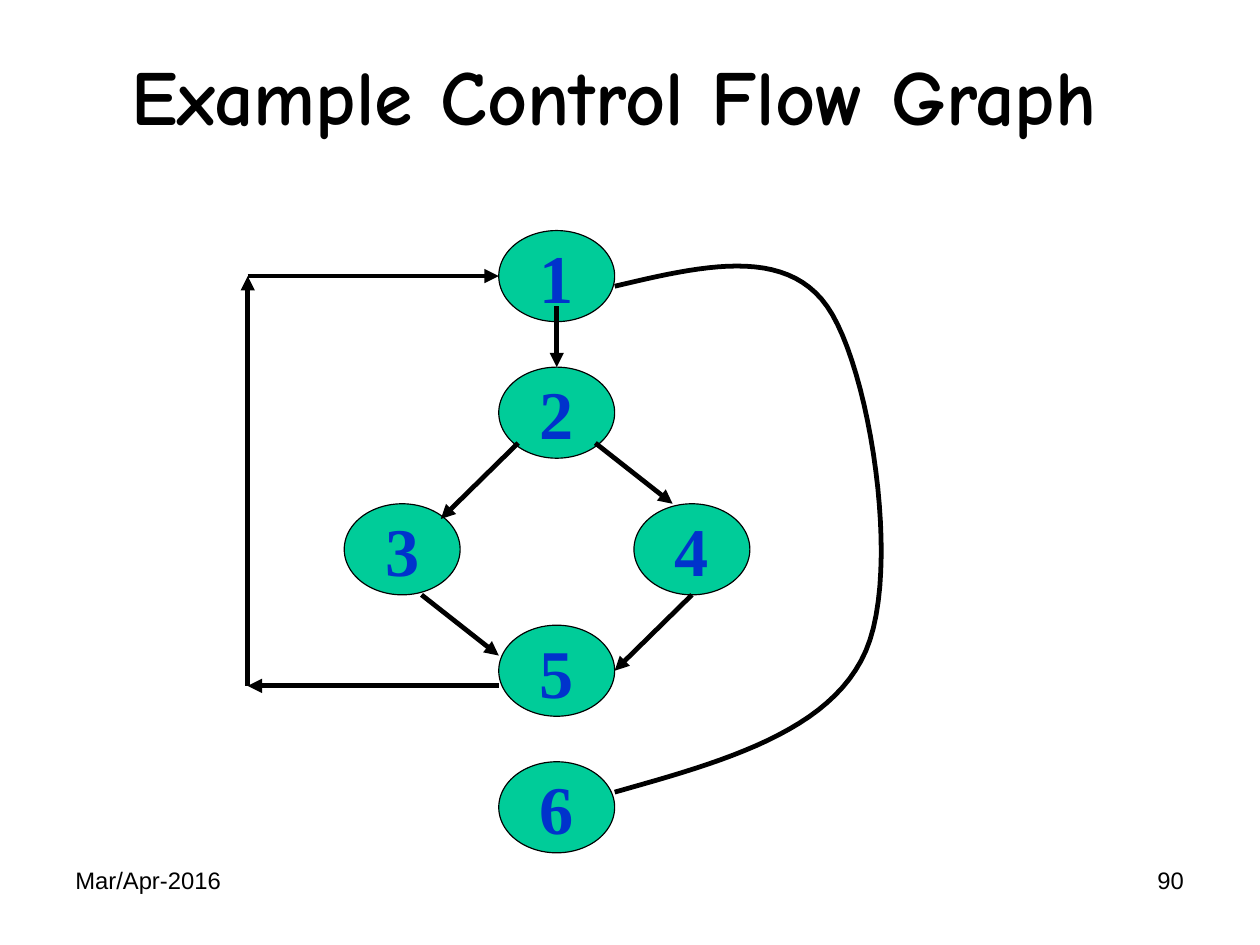
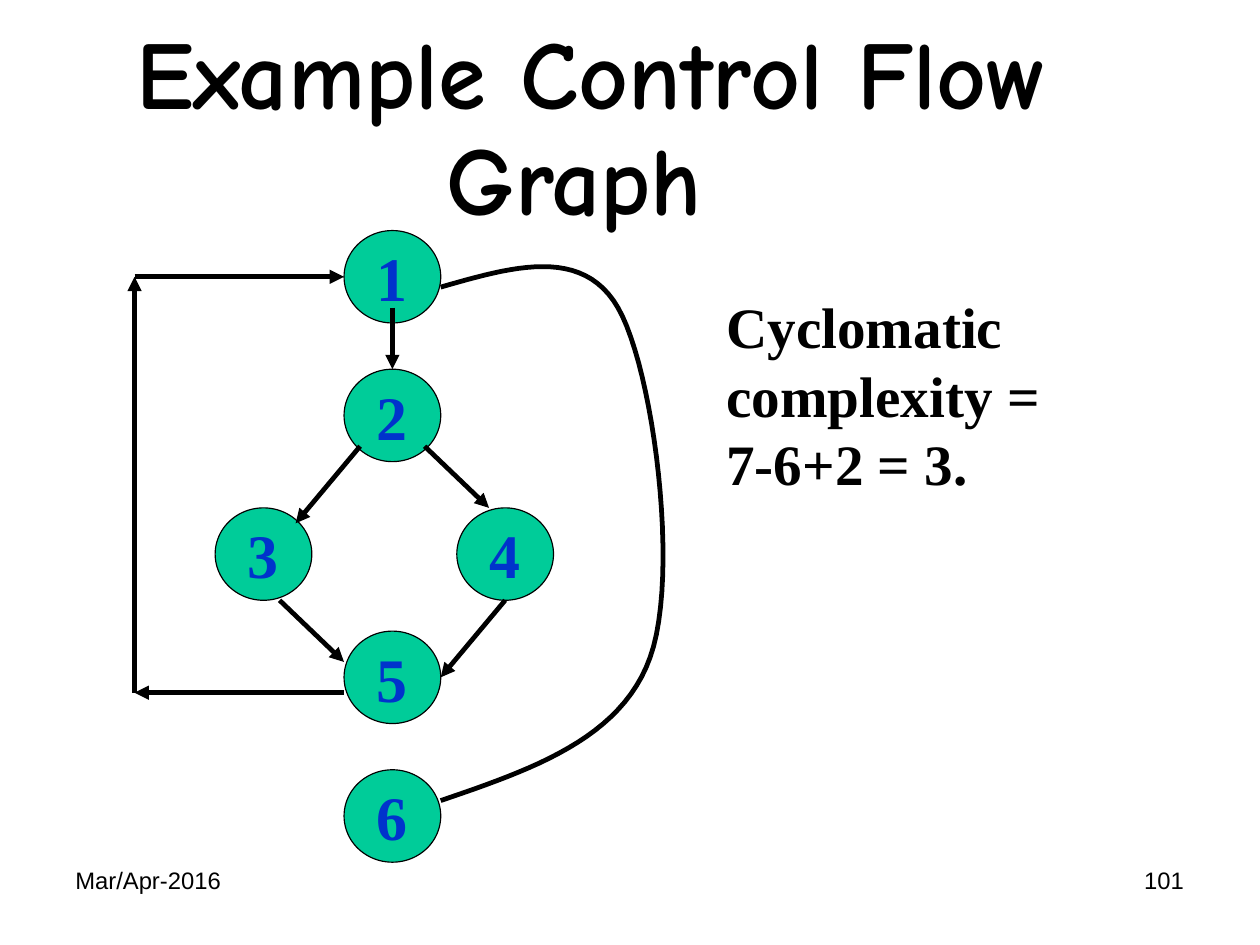
from lxml import etree
from pptx import Presentation
from pptx.dml.color import RGBColor
from pptx.enum.shapes import MSO_CONNECTOR, MSO_SHAPE
from pptx.enum.text import MSO_ANCHOR, MSO_AUTO_SIZE, PP_ALIGN
from pptx.oxml.ns import qn
from pptx.util import Emu, Inches, Pt

LEFT, CENTER, RIGHT = PP_ALIGN.LEFT, PP_ALIGN.CENTER, PP_ALIGN.RIGHT
TOP, MIDDLE = MSO_ANCHOR.TOP, MSO_ANCHOR.MIDDLE
ELLIPSE, STRAIGHT, NO_FIT = MSO_SHAPE.OVAL, MSO_CONNECTOR.STRAIGHT, MSO_AUTO_SIZE.NONE

SLIDE_W, SLIDE_H = Emu(10080625), Emu(7559675)
BLACK, GREEN, BLUE = "000000", "00CC99", "0033CC"
TITLE_FONT, BODY_FONT, FOOTER_FONT = "Comic Neue", "Times New Roman", "Arial"

GRID_COLS, GRID_ROWS = 34, 41
NODE_COLS, NODE_ROWS = 6, 6
NODES = {"1": (13, 0), "2": (13, 9), "3": (5, 18),
         "4": (20, 18), "5": (13, 26), "6": (13, 35)}
ARROWS = [((16, 5), (16, 9)), ((14, 14), (10, 19)), ((18, 14), (22, 18)),
          ((9, 24), (13, 28)), ((23, 24), (19, 29)), ((13, 30), (0, 30)),
          ((0, 30), (0, 3)), ((0, 3), (13, 3))]
EXIT_CURVE = [(19, 3.67), (23.4, 2.35), (27.8, 1), (30, 5),
              (32.2, 9), (33.85, 22.3), (32, 27.7),
              (30.2, 33), (24.6, 35), (19, 37)]
CURVE_STEPS = 24


def rgb(value):
    """Turn a hex string into a colour."""
    return RGBColor.from_string(value)


def area(left, top, width, height):
    """Turn percentages of the slide into a box."""
    return tuple(round(share * side / 100) for share, side in
                 zip((left, top, width, height), (SLIDE_W, SLIDE_H) * 2))


def set_text(tf, lines, size, font, color=BLACK, bold=True, align=CENTER,
             anchor=MIDDLE, spacing=None, insets=(0.11, 0.06)):
    """Write lines of one paragraph into a text frame."""
    tf.word_wrap = True
    tf.auto_size = NO_FIT
    tf.vertical_anchor = anchor
    tf.margin_left = tf.margin_right = Inches(insets[0])
    tf.margin_top = tf.margin_bottom = Inches(insets[1])
    p = tf.paragraphs[0]
    p.alignment = align
    if spacing:
        p.line_spacing = spacing
    for i, line in enumerate(lines):
        if i:
            p.add_line_break()
        r = p.add_run()
        r.text = line
        r.font.size, r.font.name, r.font.bold = Pt(size), font, bold
        r.font.color.rgb = rgb(color)


def set_line(shape, width):
    """Give a shape a black outline."""
    shape.line.color.rgb = rgb(BLACK)
    shape.line.width = Pt(width)


def add_footer(s, number):
    """Place the date and the slide number."""
    for left, text, align in ((4.99, "Mar/Apr-2016", LEFT), (71.69, number, RIGHT)):
        sp = s.shapes.add_textbox(*area(left, 90.9, 23.27, 6.89))
        set_text(sp.text_frame, [text], 15, FOOTER_FONT, bold=False,
                 align=align, anchor=TOP)


def add_slide(prs, title, title_box, title_size, number):
    """Add a slide with its title and footer."""
    s = prs.slides.add_slide(prs.slide_layouts[5])
    sp = s.shapes.title
    sp.left, sp.top, sp.width, sp.height = area(*title_box)
    set_text(sp.text_frame, [title], title_size, TITLE_FONT, spacing=0.91)
    add_footer(s, number)
    return s


def add_node(group, label, box, size):
    """Draw one numbered node."""
    sp = group.shapes.add_shape(ELLIPSE, *box)
    sp.shadow.inherit = False
    sp.fill.solid()
    sp.fill.fore_color.rgb = rgb(GREEN)
    set_line(sp, 0.75)
    set_text(sp.text_frame, [label], size, BODY_FONT, BLUE)


def add_arrow(group, start, end):
    """Draw a straight arrow."""
    c = group.shapes.add_connector(STRAIGHT, *start, *end)
    set_line(c, 3)
    line = c._element.spPr.find(qn("a:ln"))
    etree.SubElement(line, qn("a:tailEnd"), type="triangle")
    etree.SubElement(c._element.spPr, qn("a:effectLst"))


def bezier(a, b, c, d, t):
    """Return the point at t on a cubic curve."""
    u = 1 - t
    return tuple(u**3 * i + 3 * u * u * t * j + 3 * u * t * t * k + t**3 * m
                 for i, j, k, m in zip(a, b, c, d))


def add_curve(group, points):
    """Draw an open curve through chained cubic segments."""
    builder = group.shapes.build_freeform(*points[0])
    builder.add_line_segments(
        [bezier(*points[i:i + 4], step / CURVE_STEPS)
         for i in range(0, len(points) - 1, 3)
         for step in range(1, CURVE_STEPS + 1)], close=False)
    sp = builder.convert_to_shape()
    sp.shadow.inherit = False
    sp.fill.background()
    set_line(sp, 3)


def add_flow_graph(s, box, size):
    """Draw the control flow graph inside a box."""
    left, top, width, height = area(*box)
    col, row = width / GRID_COLS, height / GRID_ROWS

    def at(point):
        """Turn a grid point into a slide position."""
        return round(left + point[0] * col), round(top + point[1] * row)

    group = s.shapes.add_group_shape()
    for label, corner in NODES.items():
        node_box = (*at(corner), round(NODE_COLS * col), round(NODE_ROWS * row))
        add_node(group, label, node_box, size)
    for start, end in ARROWS:
        add_arrow(group, at(start), at(end))
    add_curve(group, [at(point) for point in EXIT_CURVE])


def add_note(s, box, lines):
    """Place the result beside the graph."""
    sp = s.shapes.add_textbox(*area(*box))
    set_text(sp.text_frame, lines, 36, BODY_FONT, align=LEFT, anchor=TOP,
             insets=(0.1, 0.05))


def main():
    """Build and save the presentation."""
    prs = Presentation()
    prs.slide_width, prs.slide_height = SLIDE_W, SLIDE_H

    s = add_slide(prs, "Example Control Flow Graph", (6.04, 2.3, 85.36, 16.57), 49, "90")
    add_flow_graph(s, (19.66, 24.4, 52.12, 65.85), 43)

    s = add_slide(prs, "Example Control Flow Graph ", (4.45, 5.52, 85, 16.69), 61, "101")
    add_flow_graph(s, (10.68, 24.4, 43.48, 66.84), 39)
    add_note(s, (56.76, 30.25, 33.57, 22.97), ["Cyclomatic complexity = ", "7-6+2 = 3."])

    prs.save("out.pptx")


if __name__ == "__main__":
    main()
